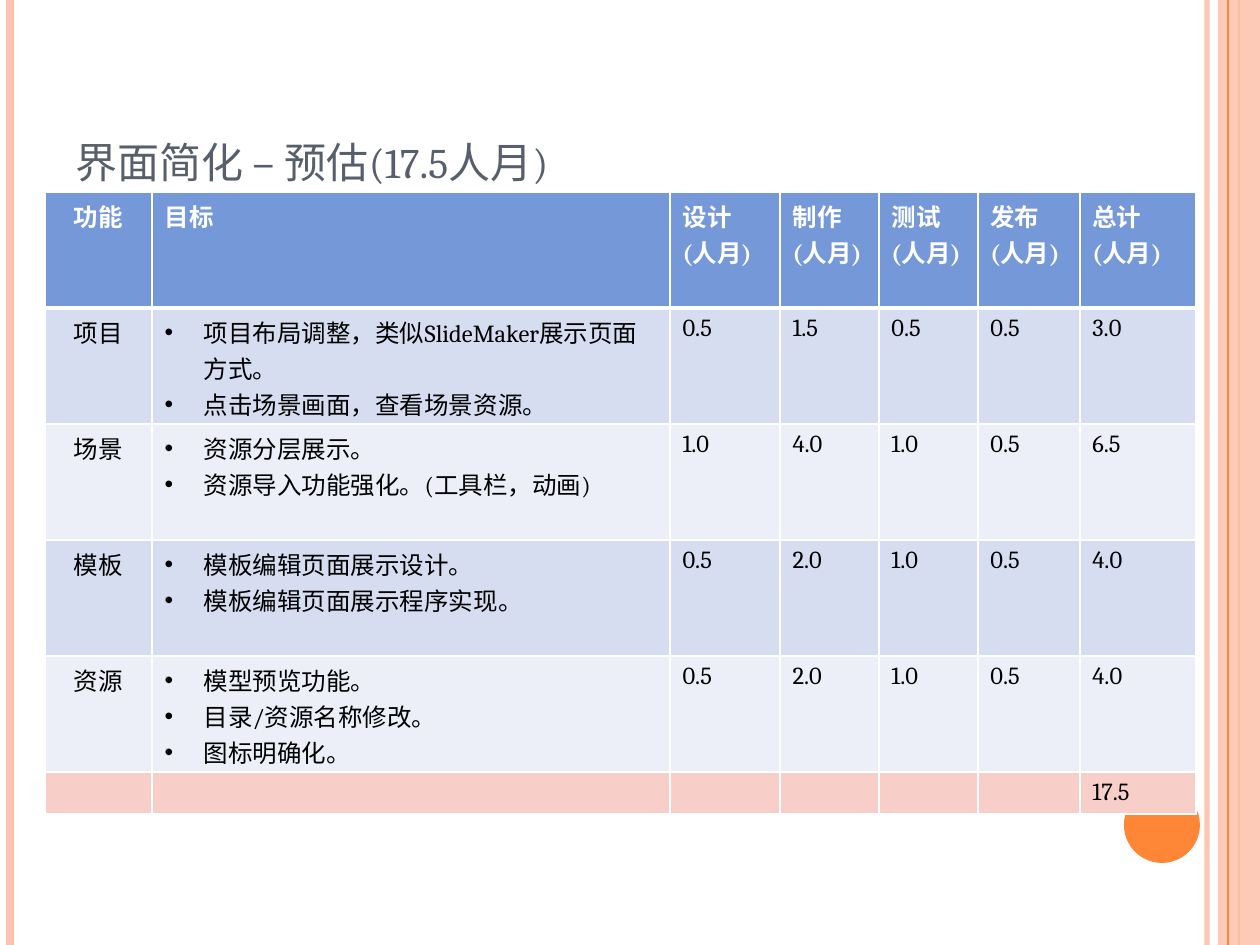
from lxml.etree import SubElement as Sub
from pptx import Presentation
from pptx.dml.color import RGBColor as Rgb
from pptx.enum.shapes import MSO_CONNECTOR as Conn, MSO_SHAPE as Shape
from pptx.enum.text import MSO_ANCHOR as Anchor, PP_ALIGN as Align
from pptx.oxml.ns import qn
from pptx.util import Emu, Pt

WIDE, HIGH = 1260, 945
FACE = "Cambria"
WHITE = Rgb(0xFF, 0xFF, 0xFF)
BLACK = Rgb(0, 0, 0)
SLATE = Rgb(0x57, 0x5F, 0x6D)
PEACH = Rgb(0xFE, 0xC3, 0xAE)
ORANGE = Rgb(0xFE, 0x86, 0x37)
BLUE = Rgb(0x75, 0x98, 0xD9)
BANDS = Rgb(0xD6, 0xDD, 0xF1), Rgb(0xEC, 0xEF, 0xF8)
PINK = Rgb(0xF8, 0xCF, 0xC8)

COLS = [107, 518, 110, 99, 99, 102, 116]
HEAD = ["功能", "目标"] + [f"{name}\n(人月)" for name in ("设计", "制作", "测试", "发布", "总计")]
BODY = [
    ["项目", "项目布局调整，类似SlideMaker展示页面方式。\n点击场景画面，查看场景资源。",
     "0.5", "1.5", "0.5", "0.5", "3.0"],
    ["场景", "资源分层展示。\n资源导入功能强化。(工具栏，动画)",
     "1.0", "4.0", "1.0", "0.5", "6.5"],
    ["模板", "模板编辑页面展示设计。\n模板编辑页面展示程序实现。",
     "0.5", "2.0", "1.0", "0.5", "4.0"],
    ["资源", "模型预览功能。\n目录/资源名称修改。\n图标明确化。",
     "0.5", "2.0", "1.0", "0.5", "4.0"],
]
TOTAL = [""] * 6 + ["17.5"]


def px(num):
    return Emu(round(num * 914400 / 126))


def fade(props, part):
    tint = next(props.iter(qn("a:srgbClr")))
    Sub(tint, qn("a:alpha"), val=str(part * 1000))


def style(par, size, color, bold=False):
    font = par.font
    font.name, font.size, font.bold = FACE, Pt(size), bold
    font.color.rgb = color


def rule(slide, x, top, high, color, width, part=100):
    line = slide.shapes.add_connector(Conn.STRAIGHT, px(x), px(top), px(x), px(top + high))
    line.line.color.rgb = color
    line.line.width = Pt(width)
    props = line._element.spPr
    if part < 100:
        fade(props, part)
    Sub(props, qn("a:effectLst"))


def block(slide, kind, box, color, part=100):
    shape = slide.shapes.add_shape(kind, *map(px, box))
    shape.shadow.inherit = False
    shape.fill.solid()
    shape.fill.fore_color.rgb = color
    shape.line.fill.background()
    if part < 100:
        fade(shape._element.spPr, part)


def frame(slide, left, top, wide, high):
    right = left + wide
    rule(slide, right - 53, top, high, PEACH, 3, 93)
    rule(slide, left + 10, top, high, PEACH, 4.5)
    rule(slide, right - 21, top, high, ORANGE, 1.5)
    block(slide, Shape.RECTANGLE, (right - 42, top, 42, high), PEACH, 87)
    rule(slide, right - 32, top, high, ORANGE, 0.75)
    block(slide, Shape.OVAL, (right - 136, top + high - 158, 76, 76), ORANGE)


def title(slide, text, left, top, wide, high):
    frm = slide.shapes.add_textbox(px(left), px(top), px(wide), px(high)).text_frame
    frm.word_wrap = True
    frm.vertical_anchor = Anchor.BOTTOM
    par = frm.paragraphs[0]
    par.text = text
    style(par, 30, SLATE)
    par._p.pPr.find(qn("a:defRPr")).set("cap", "small")


def border(cell, top, bottom):
    props = cell._tc.get_or_add_tcPr()
    for side, width in zip("LRTB", (1, 1, top, bottom)):
        line = Sub(props, qn(f"a:ln{side}"), w=str(Pt(width)))
        fill = Sub(line, qn("a:solidFill"))
        Sub(fill, qn("a:srgbClr"), val=str(WHITE))


def bullet(par):
    props = par._p.get_or_add_pPr()
    props.set("marL", str(px(39)))
    props.set("indent", str(-px(39)))
    Sub(props, qn("a:buFont"), typeface="Arial")
    Sub(props, qn("a:buChar"), char="•")


def grid(slide, left, top, wide, high):
    rows = [HEAD, *BODY, TOTAL]
    tall = [116] * (len(rows) - 1) + [29]
    fills = [BLUE, *BANDS, *BANDS, PINK]
    table = slide.shapes.add_table(
        len(rows), len(COLS), px(left), px(top), px(wide), px(high)).table
    for col, width in zip(table.columns, COLS):
        col.width = px(width)
    for r, row in enumerate(rows):
        table.rows[r].height = px(tall[r])
        head = r == 0
        for c, text in enumerate(row):
            cell = table.cell(r, c)
            border(cell, 3 if r == 1 else 1, 3 if head else 1)
            cell.fill.solid()
            cell.fill.fore_color.rgb = fills[r]
            cell.text = text
            for par in cell.text_frame.paragraphs:
                if c == 0:
                    par.alignment = Align.CENTER
                if c == 1 and text and not head:
                    bullet(par)
                style(par, 14, WHITE if head else BLACK, head)


def main():
    deck = Presentation()
    deck.slide_width, deck.slide_height = px(WIDE), px(HIGH)
    slide = deck.slides.add_slide(deck.slide_layouts[6])
    frame(slide, 0, 0, WIDE, HIGH)
    title(slide, "界面简化 – 预估(17.5人月)", 63, 38, 1029, 157)
    grid(slide, 45, 192, sum(COLS), 609)
    deck.save("out.pptx")


if __name__ == "__main__":
    main()
